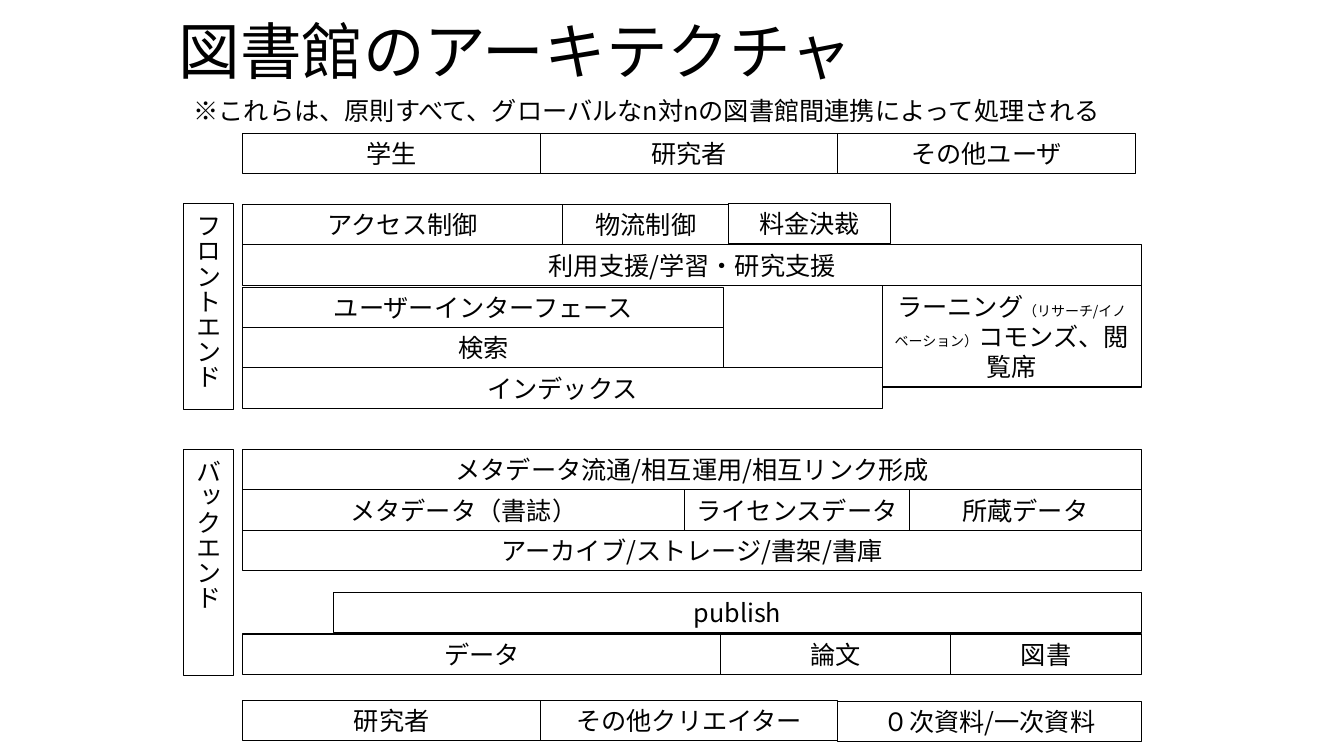
"""Build the library architecture slide: user, front-end, back-end and creator layers."""
from typing import NamedTuple

from lxml.etree import SubElement
from pptx import Presentation
from pptx.dml.color import RGBColor
from pptx.enum.shapes import MSO_SHAPE
from pptx.enum.text import MSO_ANCHOR, MSO_AUTO_SIZE, PP_ALIGN
from pptx.oxml.ns import qn
from pptx.util import Inches, Pt

BLACK = RGBColor(0x00, 0x00, 0x00)
FONT = "Noto Sans CJK JP"
BODY_SIZE = 18
LEFT = 2.41
ROW_HEIGHT = 0.4
FULL_WIDTH = 8.91
THIRD = 2.95
SEARCH_WIDTH = 4.77


class Cell(NamedTuple):
    text: str
    width: float


class Row(NamedTuple):
    top: float
    cells: list[Cell]
    left: float = LEFT


class Layer(NamedTuple):
    name: str
    top: float
    height: float


class Part(NamedTuple):
    text: str
    size: int = BODY_SIZE


ROWS = [
    Row(1.32, [Cell("学生", THIRD), Cell("研究者", THIRD), Cell("その他ユーザ", THIRD)]),
    Row(2.03, [Cell("アクセス制御", 3.17), Cell("物流制御", 1.65)]),
    Row(2.02, [Cell("料金決裁", 1.6)], left=7.23),
    Row(2.43, [Cell("利用支援/学習・研究支援", FULL_WIDTH)]),
    Row(2.85, [Cell("ユーザーインターフェース", SEARCH_WIDTH)]),
    Row(3.25, [Cell("検索", SEARCH_WIDTH)]),
    Row(3.65, [Cell("インデックス", 6.34)]),
    Row(4.46, [Cell("メタデータ流通/相互運用/相互リンク形成", FULL_WIDTH)]),
    Row(4.86, [Cell("メタデータ（書誌）", 4.38), Cell("ライセンスデータ", 2.23),
               Cell("所蔵データ", 2.3)]),
    Row(5.26, [Cell("アーカイブ/ストレージ/書架/書庫", FULL_WIDTH)]),
    Row(5.88, [Cell("publish", 8.01)], left=3.31),
    Row(6.29, [Cell("データ", 4.74), Cell("論文", 2.28), Cell("図書", 1.89)]),
    Row(6.95, [Cell("研究者", THIRD), Cell("その他クリエイター", THIRD)]),
    Row(6.96, [Cell("０次資料/一次資料", 3.01)], left=8.31),
]
LAYERS = [Layer("フロントエンド", 2.02, 2.04), Layer("バックエンド", 4.46, 2.24)]
COMMONS = [Part("ラーニング"), Part("（リサーチ/イノベーション）", 10), Part("コモンズ、閲覧席")]


def add_parts(paragraph, parts: list[Part]) -> None:
    for part in parts:
        run = paragraph.add_run()
        run.text = part.text
        run.font.size = Pt(part.size)
        run.font.name = FONT
        run.font.color.rgb = BLACK
        SubElement(run.font._element, qn("a:ea")).set("typeface", FONT)


def add_box(slide, left: float, top: float, width: float, height: float,
            parts: list[Part], vertical: bool = False) -> None:
    shape = slide.shapes.add_shape(
        MSO_SHAPE.RECTANGLE, Inches(left), Inches(top), Inches(width), Inches(height))
    shape.shadow.inherit = False
    shape.fill.background()
    shape.line.color.rgb = BLACK
    shape.line.width = Pt(0.75)
    frame = shape.text_frame
    frame.word_wrap = True
    frame.auto_size = MSO_AUTO_SIZE.SHAPE_TO_FIT_TEXT
    frame.vertical_anchor = MSO_ANCHOR.MIDDLE
    if vertical:
        shape.element.txBody.bodyPr.set("vert", "eaVert")
    paragraph = frame.paragraphs[0]
    paragraph.alignment = PP_ALIGN.CENTER
    add_parts(paragraph, parts)


def add_row(slide, row: Row) -> None:
    left = row.left
    for cell in row.cells:
        add_box(slide, left, row.top, cell.width, ROW_HEIGHT, [Part(cell.text)])
        left += cell.width


def add_title(slide, text: str) -> None:
    title = slide.shapes.title
    title.left, title.top = Inches(1.67), Inches(-0.01)
    title.width, title.height = Inches(10), Inches(1.11)
    title.text_frame.vertical_anchor = MSO_ANCHOR.MIDDLE
    paragraph = title.text_frame.paragraphs[0]
    paragraph.alignment = PP_ALIGN.LEFT
    paragraph.line_spacing = 0.9
    add_parts(paragraph, [Part(text, 44)])


def add_note(slide, text: str) -> None:
    note = slide.shapes.add_textbox(Inches(1.82), Inches(0.9), Inches(9.67), Inches(ROW_HEIGHT))
    note.text_frame.word_wrap = True
    note.text_frame.auto_size = MSO_AUTO_SIZE.SHAPE_TO_FIT_TEXT
    add_parts(note.text_frame.paragraphs[0], [Part(text)])


def main() -> None:
    presentation = Presentation()
    presentation.slide_width = Inches(13.33)
    presentation.slide_height = Inches(7.5)
    slide = presentation.slides.add_slide(presentation.slide_layouts[5])
    add_title(slide, "図書館のアーキテクチャ")
    add_note(slide, "※これらは、原則すべて、グローバルなn対nの図書館間連携によって処理される")
    for layer in LAYERS:
        add_box(slide, 1.82, layer.top, 0.5, layer.height, [Part(layer.name)], vertical=True)
    for row in ROWS:
        add_row(slide, row)
    add_box(slide, 8.75, 2.83, 2.57, 1.01, COMMONS)
    presentation.save("out.pptx")


main()
